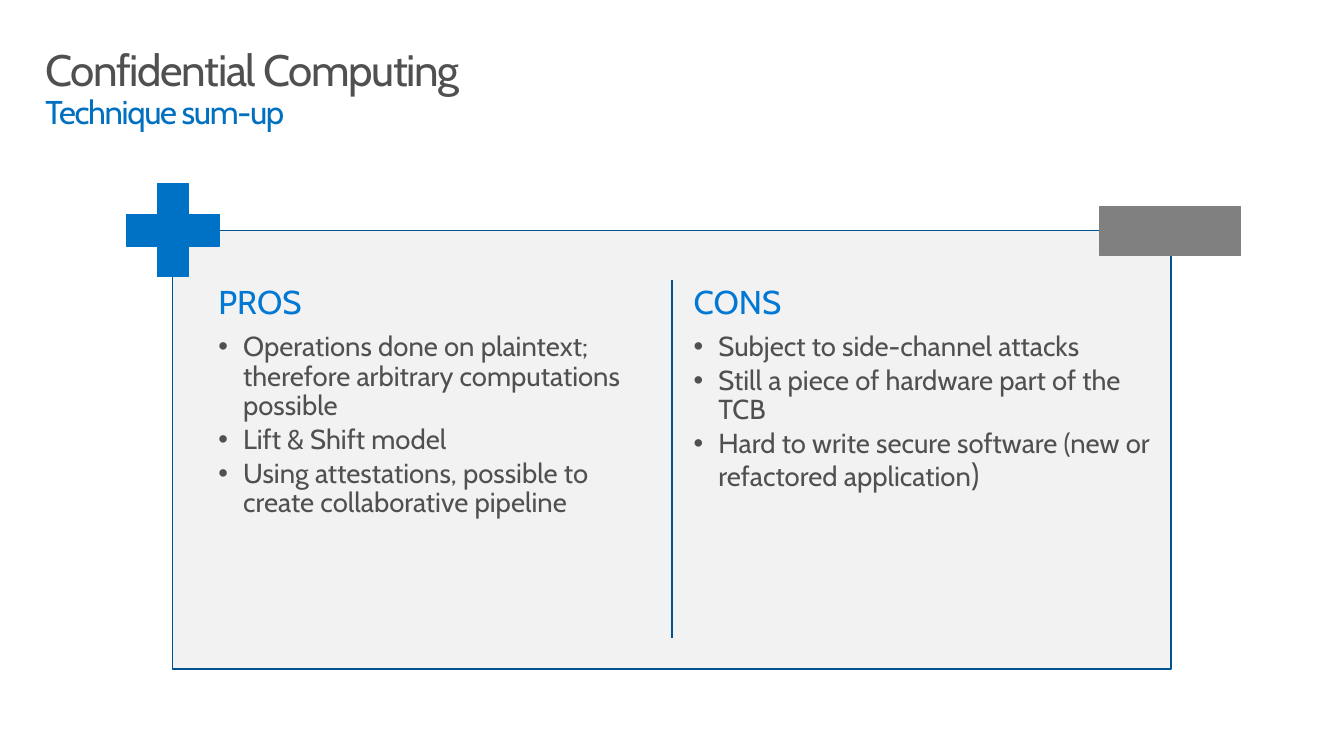
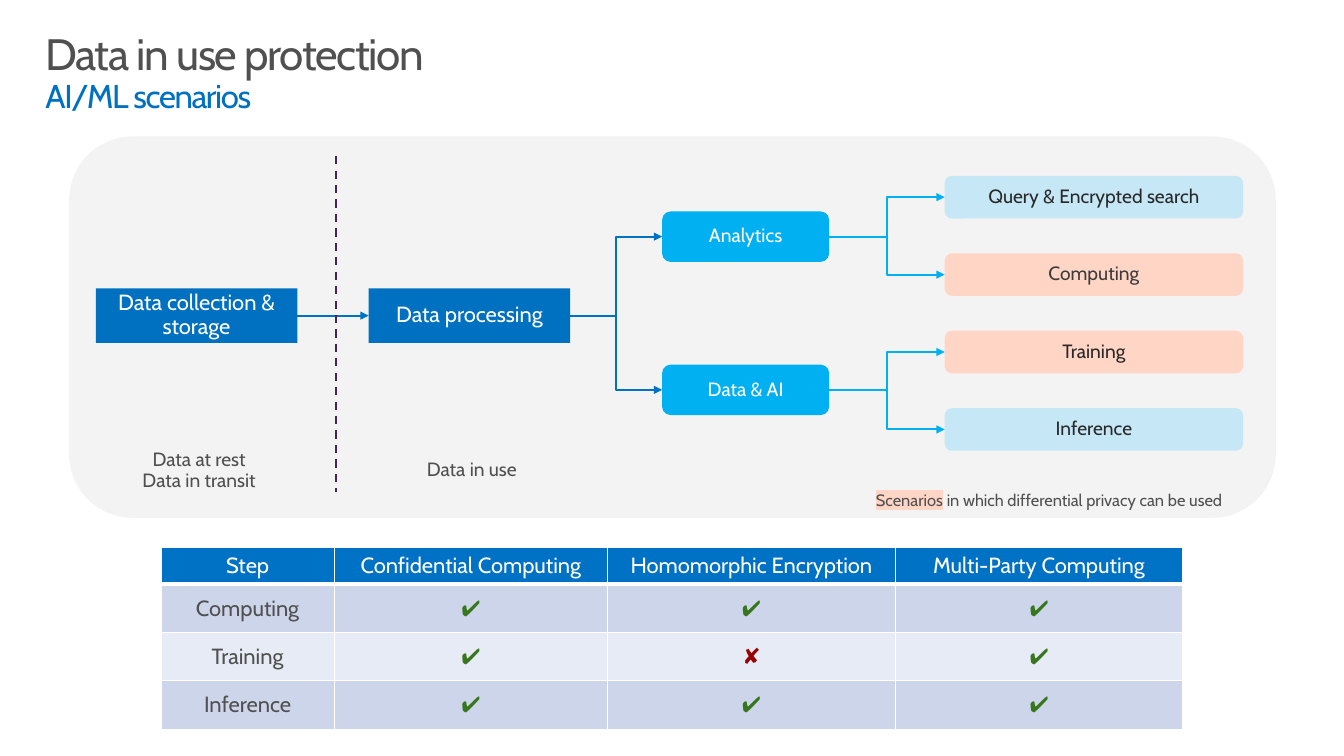
import pptx
import pptx.util
import pptx.oxml
import pptx.oxml.ns
import pptx.dml.color
import pptx.enum.dml
import pptx.enum.shapes
import pptx.enum.text
import lxml.etree

Pt = pptx.util.Pt
RGBColor = pptx.dml.color.RGBColor
SHAPE = pptx.enum.shapes.MSO_SHAPE
LINK = pptx.enum.shapes.MSO_CONNECTOR
ALIGN = pptx.enum.text.PP_ALIGN
ANCHOR = pptx.enum.text.MSO_ANCHOR
qn = pptx.oxml.ns.qn

WHITE = RGBColor(0xFF, 0xFF, 0xFF)
TEXT = RGBColor(0x50, 0x50, 0x50)
DARK = RGBColor(0x28, 0x28, 0x28)
SOFT_DARK = RGBColor(0x3C, 0x3C, 0x3C)
BLUE = RGBColor(0x00, 0x70, 0xC0)
ACCENT = RGBColor(0x00, 0x72, 0xC6)
HEADING = RGBColor(0x00, 0x78, 0xD4)
NAVY = RGBColor(0x00, 0x52, 0x91)
CYAN = RGBColor(0x00, 0xB0, 0xF0)
PALE_BLUE = RGBColor(0xC5, 0xE7, 0xF6)
PEACH = RGBColor(0xFF, 0xD5, 0xC5)
PURPLE = RGBColor(0x44, 0x23, 0x59)
GRAY = RGBColor(0x80, 0x80, 0x80)
PANEL = RGBColor(0xF2, 0xF2, 0xF2)
BAND_DARK = RGBColor(0xCC, 0xD5, 0xEA)
BAND_LIGHT = RGBColor(0xE7, 0xEB, 0xF5)
GREEN = RGBColor(0x38, 0x76, 0x1D)
RED = RGBColor(0x98, 0x00, 0x00)


class SlideBuilder:
    font_name = "Cabin"
    label_insets = (14.4, 11.5)

    def __init__(self, deck):
        self.deck = deck
        self.page = None

    def new_page(self, layout_index, title, subtitle, top):
        self.page = self.deck.slides.add_slide(self.deck.slide_layouts[layout_index])
        box = self.page.shapes.title
        self.place(box, 21.6, top, 936, 73.4)
        frame = self.frame(box, 11.5, 7.2)
        for index, (text, size, color) in enumerate(((title, 32, TEXT), (subtitle, 24, BLUE))):
            para = self.para(frame, index, alignment=ALIGN.LEFT)
            span = self.span(para, text, size, color)
            span.font._element.set("spc", "-100")

    def place(self, box, left, top, width, height):
        places = {"left": left, "top": top, "width": width, "height": height}
        for name, value in places.items():
            setattr(box, name, Pt(value))

    def frame(self, box, side, edge, anchor=ANCHOR.TOP):
        frame = box.text_frame
        formats = {
            "word_wrap": True,
            "auto_size": pptx.enum.text.MSO_AUTO_SIZE.NONE,
            "vertical_anchor": anchor,
            "margin_left": Pt(side),
            "margin_right": Pt(side),
            "margin_top": Pt(edge),
            "margin_bottom": Pt(edge),
        }
        for name, value in formats.items():
            setattr(frame, name, value)
        return frame

    def para(self, frame, index=0, **formats):
        para = frame.add_paragraph() if index else frame.paragraphs[0]
        defaults = {"line_spacing": 0.9, "space_before": Pt(0)}
        for name, value in {**defaults, **formats}.items():
            setattr(para, name, value)
        return para

    def span(self, para, text, size, color):
        span = para.add_run()
        span.text = text
        formats = {"name": self.font_name, "size": Pt(size), "bold": False}
        for name, value in formats.items():
            setattr(span.font, name, value)
        span.font.color.rgb = color
        return span

    def highlight(self, span, color):
        mark = pptx.oxml.parse_xml(
            f'<a:highlight {pptx.oxml.ns.nsdecls("a")}><a:srgbClr val="{color}"/></a:highlight>'
        )
        span.font._element.find(qn("a:latin")).addprevious(mark)

    def bullets(self, box, heading, items, left, width):
        self.place(box, left, 203.8, width, 272.9)
        frame = self.frame(box, 4.3, 4.3)
        for index, text in enumerate([heading, *items]):
            para = self.para(frame, index, space_after=Pt(3 if index else 8.4))
            properties = para._p.get_or_add_pPr()
            indent = Pt(18) if index else 0
            properties.set("marL", str(indent))
            properties.set("indent", str(-indent))
            if index:
                lxml.etree.SubElement(properties, qn("a:buChar")).set("char", "•")
                self.span(para, text, 20, TEXT)
            else:
                lxml.etree.SubElement(properties, qn("a:buNone"))
                self.span(para, text, 24, HEADING)
        return para

    def shape(self, kind, left, top, width, height, fill, line=None):
        box = self.page.shapes.add_shape(kind, *map(Pt, (left, top, width, height)))
        box.shadow.inherit = False
        box.fill.solid()
        box.fill.fore_color.rgb = fill
        if line is None:
            box.line.fill.background()
        else:
            box.line.color.rgb = line
            box.line.width = Pt(0.85)
        return box

    def label(self, kind, place, text, fill, color=WHITE, size=14):
        box = self.shape(kind, *place, fill)
        frame = self.frame(box, *self.label_insets, ANCHOR.MIDDLE)
        self.span(self.para(frame, alignment=ALIGN.CENTER), text, size, color)
        return box

    def note(self, place, text, size=14, align=ALIGN.CENTER):
        box = self.page.shapes.add_textbox(*map(Pt, place))
        para = self.para(self.frame(box, *self.label_insets), alignment=align)
        return para, self.span(para, text, size, TEXT)

    def line(self, color, width, kind=LINK.STRAIGHT, ends=(0, 0, 0, 0), dash=None, arrow=False):
        line = self.page.shapes.add_connector(kind, *map(Pt, ends))
        line.line.color.rgb = color
        line.line.width = Pt(width)
        if dash:
            line.line.dash_style = dash
        if arrow:
            tail = lxml.etree.SubElement(line.line._get_or_add_ln(), qn("a:tailEnd"))
            tail.set("type", "triangle")
        lxml.etree.SubElement(line._element.spPr, qn("a:effectLst"))
        return line

    def arrow(self, start, end, color, kind=LINK.ELBOW):
        line = self.line(color, 1.5, kind, arrow=True)
        line.begin_connect(start, 3)
        line.end_connect(end, 1)

    def send_to_back(self, box):
        self.page.shapes.element.insert(2, box.element)

    def table(self, left, top, widths, heights, rows, mark_colors):
        box = self.page.shapes.add_table(
            len(rows), len(widths), *map(Pt, (left, top, sum(widths), sum(heights)))
        )
        table = box.table
        table.first_row = table.horz_banding = False
        for column, width in zip(table.columns, widths):
            column.width = Pt(width)
        for index, (row, height, texts) in enumerate(zip(table.rows, heights, rows)):
            row.height = Pt(height)
            fill = (BAND_DARK if index % 2 else BAND_LIGHT) if index else ACCENT
            for cell, text in zip(row.cells, texts):
                color = mark_colors.get(text, TEXT) if index else WHITE
                self.cell(cell, text, color, fill, index)

    def cell(self, cell, text, color, fill, row):
        widths = {"lnL": 1, "lnR": 1, "lnT": 3 if row == 1 else 1, "lnB": 1 if row else 3}
        properties = cell._tc.get_or_add_tcPr()
        for side, width in widths.items():
            properties.append(pptx.oxml.parse_xml(
                f'<a:{side} {pptx.oxml.ns.nsdecls("a")} w="{Pt(width)}"><a:solidFill>'
                f'<a:srgbClr val="{WHITE}"/></a:solidFill></a:{side}>'
            ))
        cell.fill.solid()
        cell.fill.fore_color.rgb = fill
        cell.vertical_anchor = ANCHOR.MIDDLE
        para = self.para(cell.text_frame, alignment=ALIGN.CENTER, line_spacing=1.0)
        self.span(para, text, 16, color)


def build_summary(builder):
    builder.new_page(3, "Confidential Computing", "Technique sum-up", 28.1)
    panel = builder.shape(SHAPE.RECTANGLE, 126, 167.8, 727.2, 319.7, PANEL, NAVY)
    builder.send_to_back(panel)
    pros, cons = list(builder.page.placeholders)[1:3]
    builder.bullets(pros, "PROS", [
        "Operations done on plaintext; therefore arbitrary computations possible",
        "Lift & Shift model",
        "Using attestations, possible to create collaborative pipeline",
    ], 154.8, 334.1)
    last_item = builder.bullets(cons, "CONS", [
        "Subject to side-channel attacks",
        "Still a piece of hardware part of the TCB",
        "Hard to write secure software (new or refactored application",
    ], 501.1, 345.6)
    builder.span(last_item, ")", 23, TEXT)
    plus = builder.shape(SHAPE.CROSS, 92.2, 133.9, 67.7, 67.7, ACCENT, ACCENT)
    plus.adjustments[0] = 0.33
    builder.line(NAVY, 0.85, ends=(489.6, 203.8, 489.6, 465.1))
    builder.shape(SHAPE.RECTANGLE, 801.4, 150.5, 102.2, 36, GRAY, GRAY)


def build_scenarios(builder):
    builder.new_page(5, "Data in use protection", "AI/ML scenarios", 16.6)
    panel = builder.shape(SHAPE.ROUNDED_RECTANGLE, 50.4, 99.4, 879.1, 277.9, PANEL)
    panel_color = panel.fill._xPr.find(qn("a:solidFill"))[0]
    lxml.etree.SubElement(panel_color, qn("a:alpha")).set("val", "90000")

    storage, processing = [
        builder.label(SHAPE.RECTANGLE, (left, 210.2, 146.9, 39.6), text, BLUE, size=16)
        for left, text in ((69.8, "Data collection & storage"), (268.6, "Data processing"))
    ]
    builder.arrow(storage, processing, ACCENT, LINK.STRAIGHT)

    leaves = [
        ("Query & Encrypted search", PALE_BLUE, DARK),
        ("Computing", PEACH, SOFT_DARK),
        ("Training", PEACH, DARK),
        ("Inference", PALE_BLUE, DARK),
    ]
    rounded = SHAPE.ROUNDED_RECTANGLE
    for branch_index, (top, name) in enumerate(((154.1, "Analytics"), (265.7, "Data & AI"))):
        branch = builder.label(rounded, (482.4, top, 121.7, 36.7), name, CYAN)
        builder.arrow(processing, branch, ACCENT)
        for leaf_index in (2 * branch_index, 2 * branch_index + 1):
            place = (688.3, 128.2 + 56.4 * leaf_index, 217.4, 31)
            leaf = builder.label(rounded, place, *leaves[leaf_index])
            builder.arrow(branch, leaf, CYAN)

    dash = pptx.enum.dml.MSO_LINE.DASH
    builder.line(PURPLE, 1.5, ends=(244.8, 113.8, 244.8, 358.6), dash=dash)
    builder.note((86.4, 316.1, 117.4, 54), "Data at rest Data in transit")
    builder.note((285.1, 323.3, 117.4, 38.9), "Data in use")
    para, span = builder.note((604.1, 347, 301, 36), "Scenarios", 12, ALIGN.RIGHT)
    builder.highlight(span, PEACH)
    builder.span(para, " in which differential privacy can be used", 12, TEXT)

    builder.table(117.4, 398.9, (126, 199.4, 209.5, 209.5), (25.2, 35.3, 35.3, 35.3), [
        ("Step", "Confidential Computing", "Homomorphic Encryption", "Multi-Party Computing"),
        ("Computing", "✔", "✔", "✔"),
        ("Training", "✔", "✘", "✔"),
        ("Inference", "✔", "✔", "✔"),
    ], {"✔": GREEN, "✘": RED})


def main():
    deck = pptx.Presentation()
    deck.slide_width, deck.slide_height = Pt(979.2), Pt(550.8)
    builder = SlideBuilder(deck)
    build_summary(builder)
    build_scenarios(builder)
    deck.save("out.pptx")


if __name__ == "__main__":
    main()
